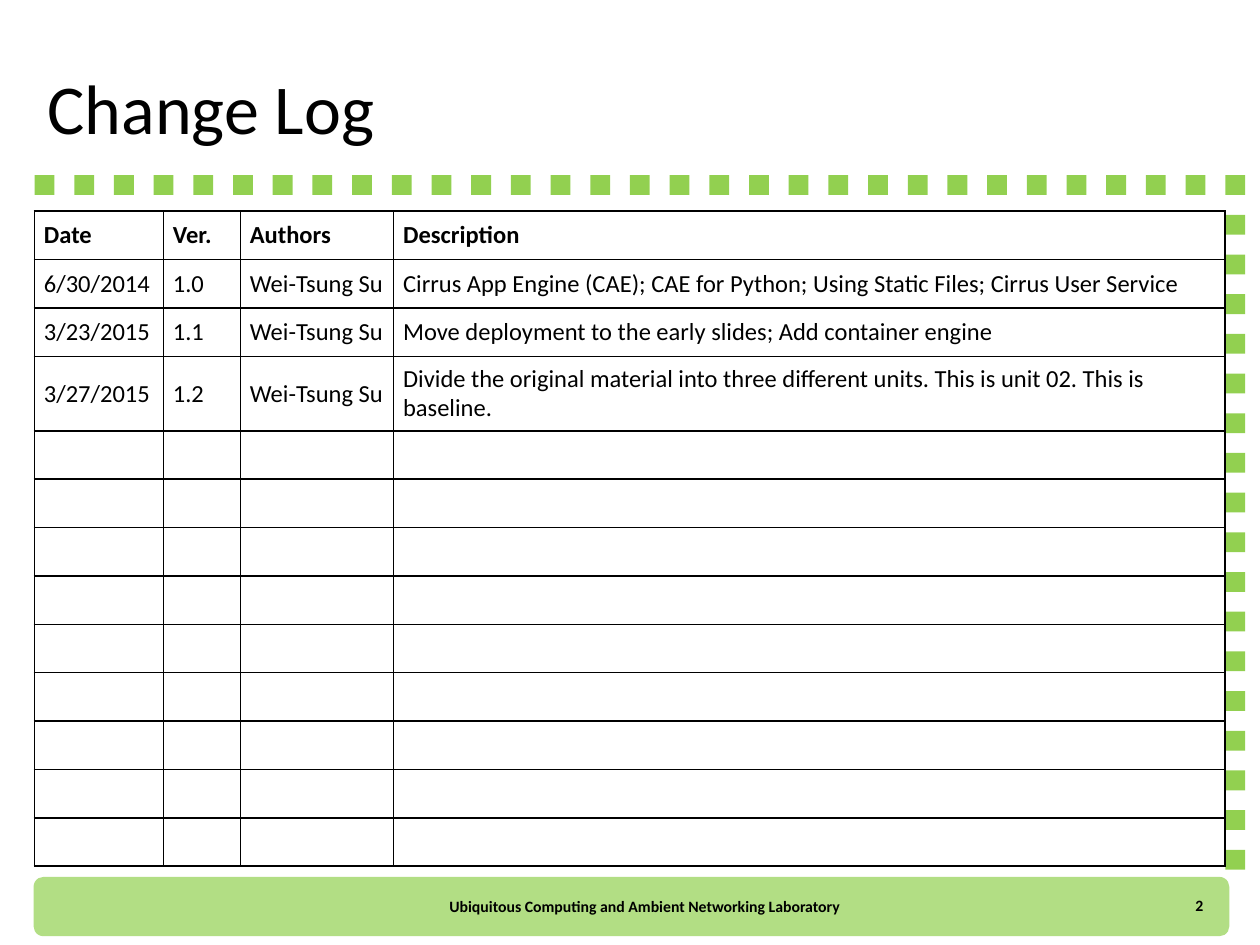
import pptx
import pptx.dml.color
import pptx.enum.shapes
import pptx.enum.text
import pptx.oxml
import pptx.oxml.ns
import pptx.util
import lxml.etree

Pt = pptx.util.Pt
ALIGN = pptx.enum.text.PP_ALIGN
SHAPES = pptx.enum.shapes.MSO_SHAPE


class Theme:
    font = "Calibri"
    ink = "000000"
    green = "92D050"
    title_size = 40
    table_size = 14
    footer_size = 9
    border_width = 1


# Trail of squares: across the top, then down the right side
TRAIL_LEFT, TRAIL_TOP = 19.8, 100.1
SQUARE, PITCH = 11.34, 22.68
ACROSS, DOWN = 31, 17

# Change log
COLUMN_WIDTHS = [73.7, 44, 87.6, 475.1]
ROW_HEIGHT, TALL_ROW_HEIGHT = 27.65, 42.6
TALL_ROW, ROW_COUNT = 3, 13
AUTHOR = "Wei-Tsung Su"
LOG = [
    ["Date", "Ver.", "Authors", "Description"],
    ["6/30/2014", "1.0", AUTHOR,
     "Cirrus App Engine (CAE); CAE for Python; Using Static Files; Cirrus User Service"],
    ["3/23/2015", "1.1", AUTHOR,
     "Move deployment to the early slides; Add container engine"],
    ["3/27/2015", "1.2", AUTHOR,
     "Divide the original material into three different units. This is unit 02. This is baseline."],
]


def color(value):
    return pptx.dml.color.RGBColor.from_string(value)


def write(frame, text, size, bold=False, align=ALIGN.LEFT):
    """Put one run of styled text into a frame."""
    para = frame.paragraphs[0]
    para.alignment = align
    span = para.add_run()
    span.text = text
    span.font.name = Theme.font
    span.font.size = Pt(size)
    span.font.bold = bold
    span.font.color.rgb = color(Theme.ink)


def place(shape, left, top, width, height):
    shape.left, shape.top = Pt(left), Pt(top)
    shape.width, shape.height = Pt(width), Pt(height)


def center_vertically(frame):
    frame.word_wrap = True
    frame.auto_size = pptx.enum.text.MSO_AUTO_SIZE.NONE
    frame.vertical_anchor = pptx.enum.text.MSO_ANCHOR.MIDDLE


def add_block(page, kind, left, top, width, height, opacity=100):
    """Add a plain green shape."""
    block = page.shapes.add_shape(kind, Pt(left), Pt(top), Pt(width), Pt(height))
    block.shadow.inherit = False
    block.fill.solid()
    block.fill.fore_color.rgb = color(Theme.green)
    block.line.fill.background()
    if opacity < 100:
        paint = block.fill._xPr.find(".//" + pptx.oxml.ns.qn("a:srgbClr"))
        alpha = lxml.etree.SubElement(paint, pptx.oxml.ns.qn("a:alpha"))
        alpha.set("val", str(opacity * 1000))


def add_trail(page):
    corner_left = TRAIL_LEFT + (ACROSS - 1) * PITCH
    spots = [(TRAIL_LEFT + i * PITCH, TRAIL_TOP) for i in range(ACROSS)]
    spots += [(corner_left, TRAIL_TOP + i * PITCH) for i in range(1, DOWN + 1)]
    for left, top in spots:
        add_block(page, SHAPES.RECTANGLE, left, top, SQUARE, SQUARE)


def add_title(page, text):
    title = page.shapes.title
    place(title, 20, 21.6, 567, 78.5)
    center_vertically(title.text_frame)
    write(title.text_frame, text, Theme.title_size)


def add_label(page, text, left, top, width, height, align):
    box = page.shapes.add_textbox(Pt(left), Pt(top), Pt(width), Pt(height))
    center_vertically(box.text_frame)
    write(box.text_frame, text, Theme.footer_size, True, align)


def add_borders(cell):
    properties = cell._tc.get_or_add_tcPr()
    for side in ("lnL", "lnR", "lnT", "lnB"):
        properties.append(pptx.oxml.parse_xml(
            f'<a:{side} {pptx.oxml.ns.nsdecls("a")} w="{Pt(Theme.border_width)}">'
            f'<a:solidFill><a:srgbClr val="{Theme.ink}"/></a:solidFill></a:{side}>'))


def format_cell(cell):
    cell.margin_left = cell.margin_right = Pt(5.4)
    cell.margin_top = cell.margin_bottom = Pt(2.7)
    cell.vertical_anchor = pptx.enum.text.MSO_ANCHOR.MIDDLE
    add_borders(cell)
    cell.fill.background()


def keep_empty_cell_small(cell):
    para = cell.text_frame.paragraphs[0]
    end = lxml.etree.SubElement(para._p, pptx.oxml.ns.qn("a:endParaRPr"))
    end.set("sz", str(Theme.table_size * 100))


def add_log(page):
    heights = [TALL_ROW_HEIGHT if row == TALL_ROW else ROW_HEIGHT
               for row in range(ROW_COUNT)]
    table = page.shapes.add_table(
        ROW_COUNT, len(COLUMN_WIDTHS), Pt(19.7), Pt(120.7),
        Pt(sum(COLUMN_WIDTHS)), Pt(sum(heights))).table
    table.first_row = table.horz_banding = False
    for column, width in zip(table.columns, COLUMN_WIDTHS):
        column.width = Pt(width)
    for row, height in enumerate(heights):
        table.rows[row].height = Pt(height)
        for column in range(len(COLUMN_WIDTHS)):
            cell = table.cell(row, column)
            format_cell(cell)
            if row < len(LOG):
                write(cell.text_frame, LOG[row][column], Theme.table_size, row == 0)
            else:
                keep_empty_cell_small(cell)


def main():
    deck = pptx.Presentation()
    deck.slide_width, deck.slide_height = Pt(720), Pt(540)
    page = deck.slides.add_slide(deck.slide_layouts[5])

    # Frame
    add_block(page, SHAPES.ROUNDED_RECTANGLE, 19.2, 501.1, 683.3, 33.9, opacity=70)
    add_trail(page)

    # Content
    add_title(page, "Change Log")
    add_log(page)

    # Footer
    add_label(page, "Ubiquitous Computing and Ambient Networking Laboratory",
              115.9, 503.3, 504.7, 28.8, ALIGN.CENTER)
    add_label(page, "2", 632.2, 503.3, 62.6, 28.1, ALIGN.RIGHT)

    deck.save("out.pptx")


main()
